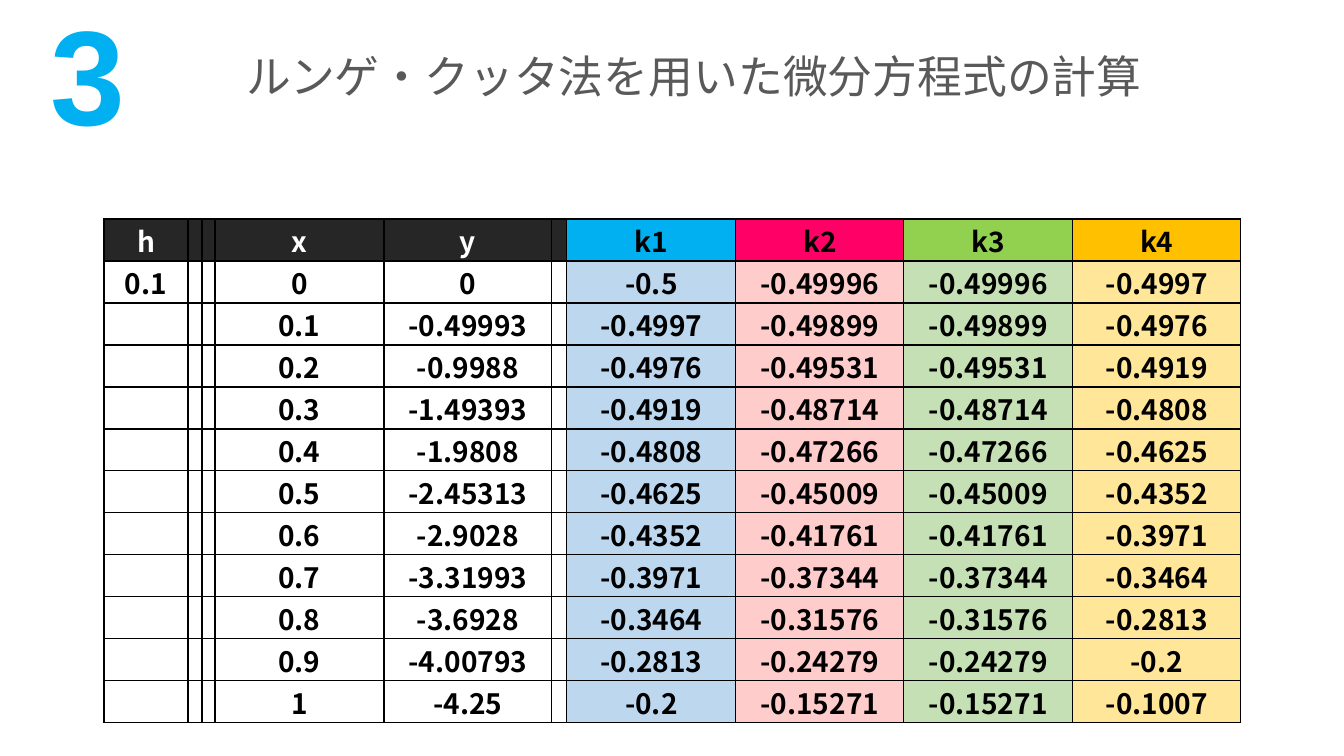
from dataclasses import dataclass

from lxml import etree
from pptx import Presentation
from pptx import util as u
from pptx.dml.color import RGBColor
from pptx.enum import text
from pptx.oxml.ns import qn

SCALE = 914400 / 100.8  # EMU in one px


@dataclass(frozen=True)
class Theme:
    font: str = "Noto Sans CJK JP"
    number_font: str = "Arial"
    title_size: int = 32
    number_size: int = 96
    cell_size: int = 20
    title: str = "595959"
    accent: str = "00B0F0"
    dark: str = "262626"
    white: str = "FFFFFF"
    black: str = "000000"


@dataclass(frozen=True)
class Column:
    width: int
    heading: str = ""
    values: tuple[str, ...] = ()
    head_fill: str = Theme.dark
    head_color: str = Theme.white
    body_fill: str = Theme.white


THEME = Theme()
ROW_HEIGHT = 42
STEPS = 11

# Values of the calculation: each k4 is the k1 of the next step
X = ("0", "0.1", "0.2", "0.3", "0.4", "0.5", "0.6", "0.7", "0.8", "0.9", "1")
Y = ("0", "-0.49993", "-0.9988", "-1.49393", "-1.9808", "-2.45313",
     "-2.9028", "-3.31993", "-3.6928", "-4.00793", "-4.25")
END_SLOPES = ("-0.5", "-0.4997", "-0.4976", "-0.4919", "-0.4808", "-0.4625",
              "-0.4352", "-0.3971", "-0.3464", "-0.2813", "-0.2", "-0.1007")
MID_SLOPES = ("-0.49996", "-0.49899", "-0.49531", "-0.48714", "-0.47266", "-0.45009",
              "-0.41761", "-0.37344", "-0.31576", "-0.24279", "-0.15271")

COLUMNS = (
    Column(84, "h", ("0.1",)),
    Column(14),
    Column(13),
    Column(169, "x", X),
    Column(168, "y", Y),
    Column(15),
    Column(169, "k1", END_SLOPES[:-1], THEME.accent, THEME.black, "BDD7EE"),
    Column(168, "k2", MID_SLOPES, "FF0066", THEME.black, "FFCCCC"),
    Column(169, "k3", MID_SLOPES, "92D050", THEME.black, "C5E0B4"),
    Column(168, "k4", END_SLOPES[1:], "FFC000", THEME.black, "FFE699"),
)


def px(length: int) -> u.Emu:
    return u.Emu(round(length * SCALE))


def place(shape, left: int, top: int, width: int, height: int) -> None:
    shape.left, shape.top = px(left), px(top)
    shape.width, shape.height = px(width), px(height)


def style(para, font_name: str, size: int, color: str, bold: bool) -> None:
    font = para.font
    font.name, font.size, font.bold = font_name, u.Pt(size), bold
    font.color.rgb = RGBColor.from_string(color)


def add_borders(cell) -> None:
    properties = cell._tc.get_or_add_tcPr()
    for side in ("a:lnL", "a:lnR", "a:lnT", "a:lnB"):
        line = etree.SubElement(properties, qn(side), w=str(u.Pt(1)))
        fill = etree.SubElement(line, qn("a:solidFill"))
        etree.SubElement(fill, qn("a:srgbClr"), val=THEME.black)


def fill_cell(cell, content: str, fill: str, color: str) -> None:
    add_borders(cell)
    cell.fill.solid()
    cell.fill.fore_color.rgb = RGBColor.from_string(fill)
    cell.margin_left = cell.margin_right = cell.margin_top = px(1)
    cell.margin_bottom = 0
    cell.vertical_anchor = text.MSO_ANCHOR.MIDDLE
    para = cell.text_frame.paragraphs[0]
    para.text = content
    para.alignment = text.PP_ALIGN.CENTER
    style(para, THEME.font, THEME.cell_size, color, True)


def add_title(page) -> None:
    title = page.shapes.title
    place(title, 236, 0, 988, 158)
    title.text_frame.vertical_anchor = text.MSO_ANCHOR.MIDDLE
    para = title.text_frame.paragraphs[0]
    para.text = "ルンゲ・クッタ法を用いた微分方程式の計算"
    para.alignment = text.PP_ALIGN.LEFT
    para.line_spacing = 0.9
    style(para, THEME.font, THEME.title_size, THEME.title, False)
    # East Asian typeface for the Japanese wording
    etree.SubElement(para.font._element, qn("a:ea"), typeface=THEME.font)


def add_number(page) -> None:
    box = page.shapes.add_textbox(px(41), px(-14), px(103), px(173))
    box.text_frame.word_wrap = False
    box.text_frame.auto_size = text.MSO_AUTO_SIZE.SHAPE_TO_FIT_TEXT
    para = box.text_frame.paragraphs[0]
    para.text = "3"
    style(para, THEME.number_font, THEME.number_size, THEME.accent, True)


def add_value_table(page) -> None:
    width = sum(column.width for column in COLUMNS)
    rows = STEPS + 1
    table = page.shapes.add_table(rows, len(COLUMNS), px(104), px(219),
                                  px(width), px(rows * ROW_HEIGHT)).table
    table.horz_banding = False
    for row in table.rows:
        row.height = px(ROW_HEIGHT)
    for index, column in enumerate(COLUMNS):
        table.columns[index].width = px(column.width)
        fill_cell(table.cell(0, index), column.heading, column.head_fill, column.head_color)
        for step in range(STEPS):
            value = column.values[step] if step < len(column.values) else ""
            fill_cell(table.cell(step + 1, index), value, column.body_fill, THEME.black)


def main() -> None:
    deck = Presentation()
    deck.slide_width, deck.slide_height = px(1344), px(756)
    page = deck.slides.add_slide(deck.slide_layouts[5])
    add_title(page)
    add_number(page)
    add_value_table(page)
    deck.save("out.pptx")


if __name__ == "__main__":
    main()
